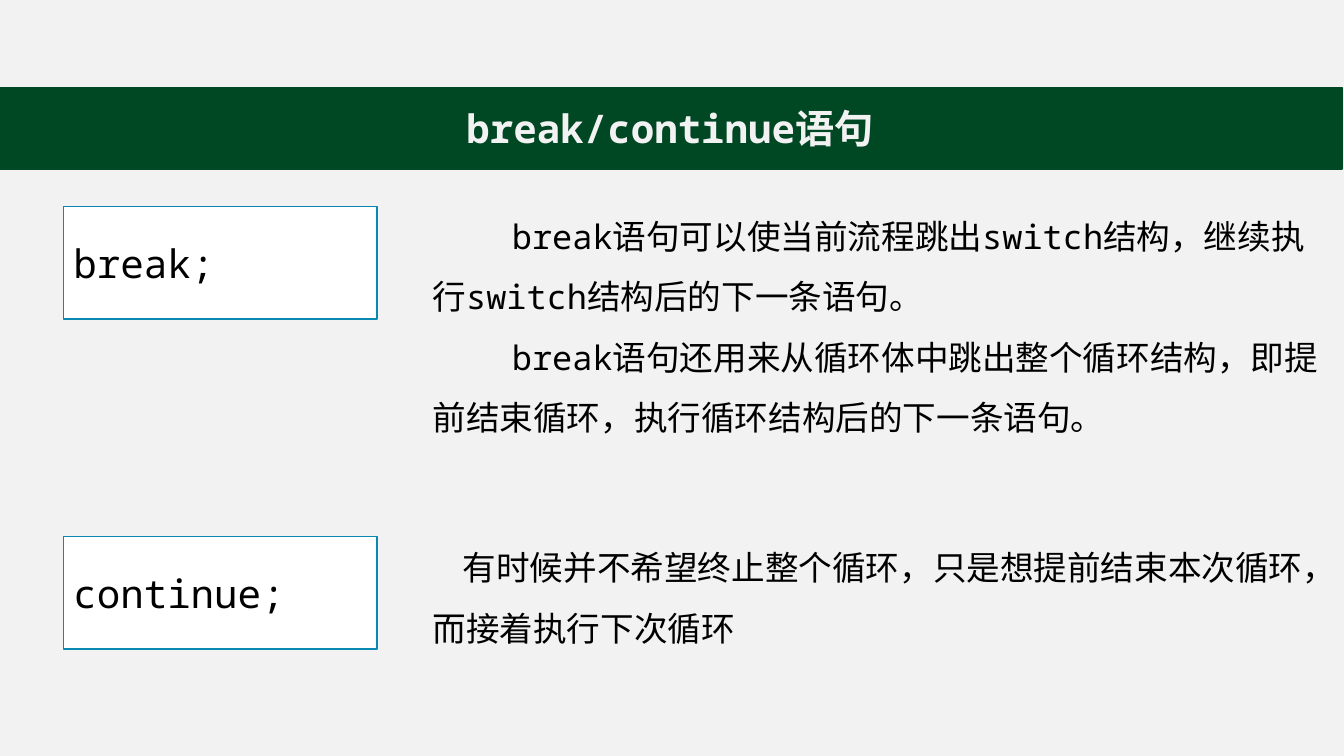
"""Build the slide on the break and continue statements."""
import pptx
import pptx.dml.color
import pptx.enum.shapes
import pptx.enum.text
import pptx.util

Cm = pptx.util.Cm
RGBColor = pptx.dml.color.RGBColor
PP_ALIGN = pptx.enum.text.PP_ALIGN
MSO_ANCHOR = pptx.enum.text.MSO_ANCHOR

GREEN = RGBColor(0x00, 0x47, 0x23)
BLUE = RGBColor(0x09, 0x89, 0xB1)
GRAY = RGBColor(0xF2, 0xF2, 0xF2)
WHITE = RGBColor(0xFF, 0xFF, 0xFF)
BLACK = RGBColor(0x00, 0x00, 0x00)


def write(paragraph, text, size=24, color=BLACK, bold=False,
          align=PP_ALIGN.LEFT, spacing=1.0, indent=0):
    paragraph._p.get_or_add_pPr().set("indent", str(Cm(indent)))
    paragraph.alignment = align
    paragraph.line_spacing = spacing
    run = paragraph.add_run()
    run.text = text
    run.font.name = StatementSlide.FONT
    run.font.size = pptx.util.Pt(size)
    run.font.bold = bold
    run.font.color.rgb = color


class StatementSlide:
    FONT = "Noto Sans Mono"

    def __init__(self, presentation):
        self.slide = presentation.slides.add_slide(presentation.slide_layouts[5])
        self.slide.background.fill.solid()
        self.slide.background.fill.fore_color.rgb = GRAY

    def paint(self, shape, fill, line):
        shape.fill.solid()
        shape.fill.fore_color.rgb = fill
        shape.line.color.rgb = line
        shape.line.width = pptx.util.Pt(1)
        shape.text_frame.vertical_anchor = MSO_ANCHOR.MIDDLE

    def title(self, text):
        title = self.slide.shapes.title
        title.left, title.top = Cm(-0.05), Cm(2.2)
        title.width, title.height = Cm(33.87), Cm(2.06)
        self.paint(title, GREEN, GREEN)
        write(title.text_frame.paragraphs[0], text, size=28, color=GRAY,
              bold=True, align=PP_ALIGN.CENTER)

    def code_box(self, text, top):
        box = self.slide.shapes.add_shape(
            pptx.enum.shapes.MSO_SHAPE.RECTANGLE,
            Cm(1.6), Cm(top), Cm(7.9), Cm(2.84))
        box.shadow.inherit = False
        self.paint(box, WHITE, BLUE)
        write(box.text_frame.paragraphs[0], text, size=28)

    def explanation(self, texts, top, height, indent):
        box = self.slide.shapes.add_textbox(
            Cm(10.9), Cm(top), Cm(22.48), Cm(height))
        frame = box.text_frame
        frame.word_wrap = True
        frame.margin_left = frame.margin_right = 0
        frame.margin_top = frame.margin_bottom = 0
        for number, text in enumerate(texts):
            paragraph = frame.add_paragraph() if number else frame.paragraphs[0]
            write(paragraph, text, spacing=1.5, indent=indent)


def main():
    presentation = pptx.Presentation()
    presentation.slide_width = Cm(33.87)
    presentation.slide_height = Cm(19.05)
    slide = StatementSlide(presentation)
    slide.title("break/continue语句")
    slide.code_box("break;", top=5.2)
    slide.explanation(
        ["break语句可以使当前流程跳出switch结构，继续执行switch结构后的下一条语句。",
         "break语句还用来从循环体中跳出整个循环结构，即提前结束循环，执行循环结构后的下一条语句。"],
        top=4.93, height=7.7, indent=2)
    slide.code_box("continue;", top=13.52)
    slide.explanation(
        ["有时候并不希望终止整个循环，只是想提前结束本次循环，而接着执行下次循环"],
        top=13.28, height=3.07, indent=0.76)
    presentation.save("out.pptx")


if __name__ == "__main__":
    main()
